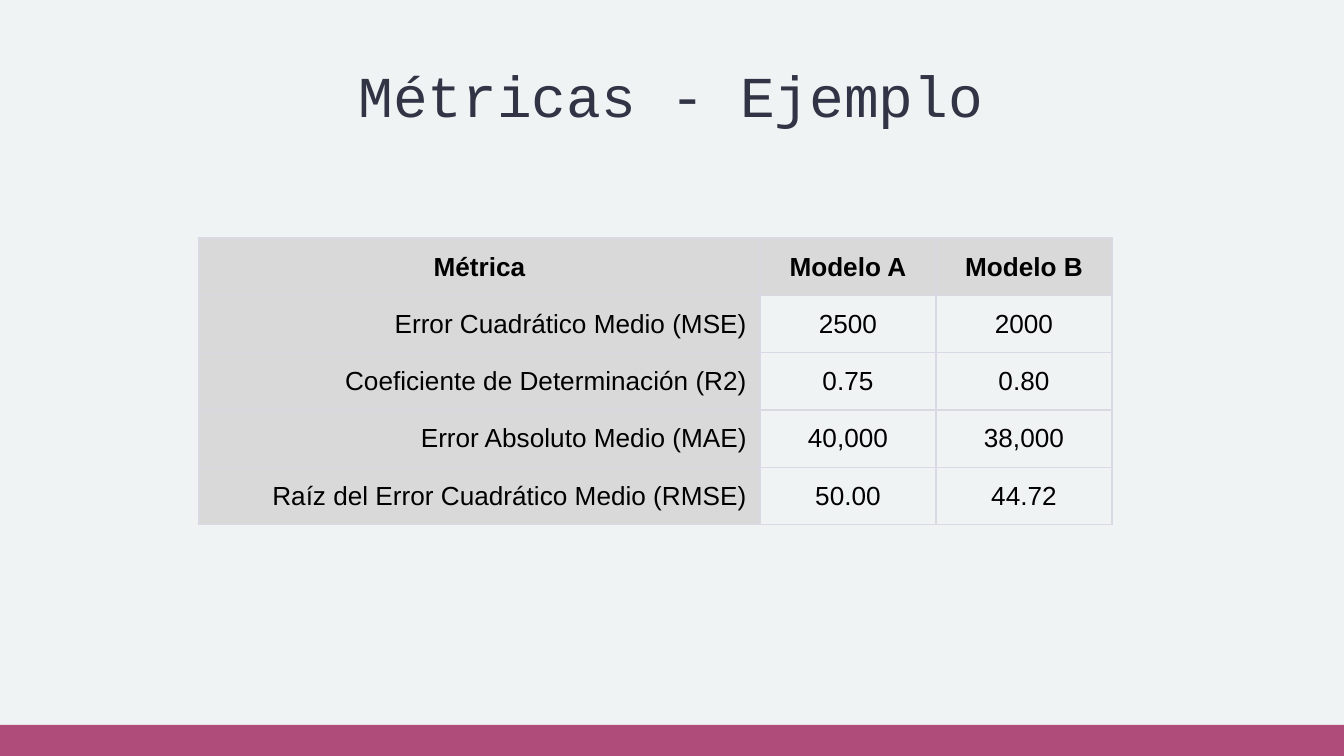
import lxml.etree
import pptx
import pptx.dml.color
import pptx.enum.shapes
import pptx.enum.text
import pptx.oxml.ns
import pptx.util

ALIGN = pptx.enum.text.PP_ALIGN
ANCHOR = pptx.enum.text.MSO_ANCHOR
PX_PER_INCH = 134.4
INSET = 13
HEADER_GRAY = "D9D9D9"
BORDER_GRAY = "D9D9E3"
COLUMN_WIDTHS = [561, 176, 176]
ROW_HEIGHT = 56
METRICS = [
    ["Métrica", "Modelo A", "Modelo B"],
    ["Error Cuadrático Medio (MSE)", "2500", "2000"],
    ["Coeficiente de Determinación (R2)", "0.75", "0.80"],
    ["Error Absoluto Medio (MAE)", "40,000", "38,000"],
    ["Raíz del Error Cuadrático Medio (RMSE)", "50.00", "44.72"],
]


def px(length):
    """Turn pixels into EMU."""
    return pptx.util.Inches(length / PX_PER_INCH)


def paint(fill, color):
    """Give a fill one solid colour."""
    fill.solid()
    fill.fore_color.rgb = pptx.dml.color.RGBColor.from_string(color)


def write(frame, text, *, size, font, color="000000", bold=False, align=ALIGN.CENTER):
    """Write one formatted paragraph into a text frame."""
    paragraph = frame.paragraphs[0]
    paragraph.alignment = align
    run = paragraph.add_run()
    run.text = text
    run.font.size = pptx.util.Pt(size)
    run.font.name = font
    run.font.bold = bold
    paint(run.font.fill, color)


def inset(holder):
    """Set equal margins on a text frame or a table cell."""
    holder.margin_left = holder.margin_right = px(INSET)
    holder.margin_top = holder.margin_bottom = px(INSET)


def add_border(cell, color, width):
    """Draw a thin line on all four sides of a cell."""
    properties = cell._tc.get_or_add_tcPr()
    qn = pptx.oxml.ns.qn
    for side in ("a:lnL", "a:lnR", "a:lnT", "a:lnB"):
        line = lxml.etree.SubElement(properties, qn(side), w=str(pptx.util.Pt(width)))
        solid = lxml.etree.SubElement(line, qn("a:solidFill"))
        lxml.etree.SubElement(solid, qn("a:srgbClr"), val=color)


def add_footer_band(slide):
    """Add the coloured band along the bottom edge."""
    band = slide.shapes.add_shape(
        pptx.enum.shapes.MSO_SHAPE.RECTANGLE, px(0), px(725), px(1344), px(31))
    band.shadow.inherit = False
    paint(band.fill, "B04C7A")
    band.line.fill.background()


def add_title(slide, text):
    """Add the centred slide title."""
    frame = slide.shapes.add_textbox(px(86), px(38), px(1169), px(112)).text_frame
    frame.word_wrap = True
    frame.vertical_anchor = ANCHOR.MIDDLE
    inset(frame)
    write(frame, text, size=31, font="Courier New", color="313445")


def add_metrics_table(slide, metrics):
    """Add the comparison table with shaded header row and column."""
    table = slide.shapes.add_table(
        len(metrics), len(COLUMN_WIDTHS), px(199), px(238),
        px(sum(COLUMN_WIDTHS)), px(ROW_HEIGHT * len(metrics))).table
    table.horz_banding = False
    for column, width in zip(table.columns, COLUMN_WIDTHS):
        column.width = px(width)
    for row_index, values in enumerate(metrics):
        table.rows[row_index].height = px(ROW_HEIGHT)
        for column_index, value in enumerate(values):
            cell = table.cell(row_index, column_index)
            is_header = row_index == 0
            is_metric_name = column_index == 0 and not is_header
            inset(cell)
            cell.vertical_anchor = ANCHOR.BOTTOM if is_header else ANCHOR.MIDDLE
            add_border(cell, BORDER_GRAY, 0.75)
            if is_header or is_metric_name:
                paint(cell.fill, HEADER_GRAY)
            else:
                cell.fill.background()
            write(cell.text_frame, value, size=14, font="Arial", bold=is_header,
                  align=ALIGN.RIGHT if is_metric_name else ALIGN.CENTER)


def main():
    """Build and save the slide."""
    deck = pptx.Presentation()
    deck.slide_width = px(1344)
    deck.slide_height = px(756)
    slide = deck.slides.add_slide(deck.slide_layouts[6])
    paint(slide.background.fill, "F0F3F4")
    add_footer_band(slide)
    add_title(slide, "Métricas - Ejemplo")
    add_metrics_table(slide, METRICS)
    deck.save("out.pptx")


if __name__ == "__main__":
    main()
